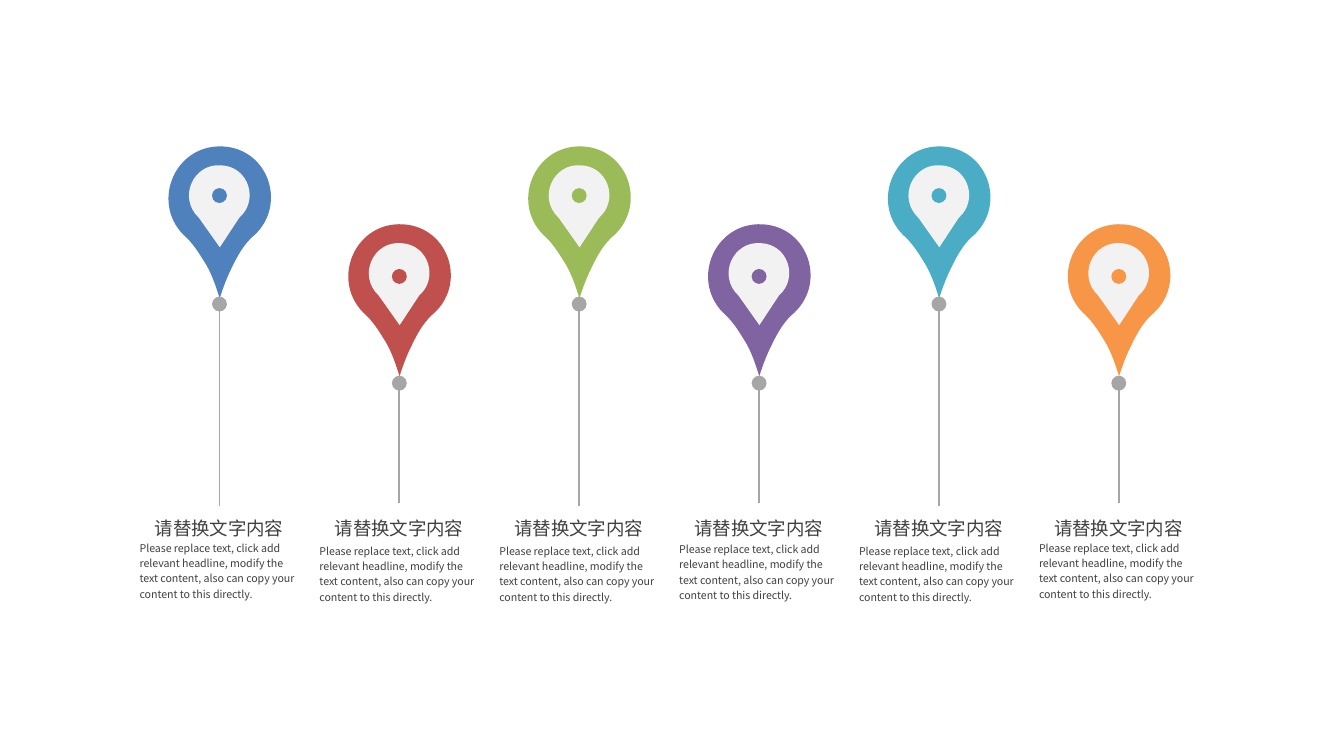
from lxml import etree
from pptx import Presentation
from pptx.dml.color import RGBColor
from pptx.enum.shapes import MSO_CONNECTOR, MSO_SHAPE
from pptx.enum.text import MSO_ANCHOR, MSO_AUTO_SIZE, PP_ALIGN
from pptx.oxml.ns import qn
from pptx.util import Pt

OVAL = MSO_SHAPE.OVAL
STRAIGHT = MSO_CONNECTOR.STRAIGHT
MIDDLE = MSO_ANCHOR.MIDDLE
GROW = MSO_AUTO_SIZE.SHAPE_TO_FIT_TEXT
LEFT, CENTER = PP_ALIGN.LEFT, PP_ALIGN.CENTER

COLORS = {
    "blue": "4F81BD", "red": "C0504D", "green": "9BBB59",
    "purple": "8064A2", "teal": "4BACC6", "orange": "F79646",
    "grey": "A6A6A6", "pale": "F2F2F2", "text": "404040",
}
FONT = "Noto Sans CJK SC"
HEADING = "请替换文字内容"
BODY = ("Please replace text, click add relevant headline, modify the text "
        "content, also can copy your content to this directly.")

COLUMN_LEFT, COLUMN_PITCH, COLUMN_WIDTH = 74.8, 96.36, 85.7
PIN_INSET, PIN_AXIS, DOT_SIZE = 15.2, 27.6, 8
HIGH = {"pin": 78.5, "eye": 100.8, "joint": 158.9, "stem": 162, "end": 271.1}
LOW = {"pin": 120.2, "eye": 144.1, "joint": 201.3, "stem": 208.1, "end": 269.3}
COLUMNS = [
    ("blue", HIGH, 288.7), ("red", LOW, 290.3), ("green", HIGH, 290.3),
    ("purple", LOW, 289.4), ("teal", HIGH, 290.3), ("orange", LOW, 288.7),
]

PIN_BOX = (0, 0, 54.9, 81.4)
PIN_PATH = [
    [(10.1, 49)],
    [(-10.1, 31.7), (2.9, -1.4), (29.5, 0)],
    [(54.7, 1.4), (64.4, 33.1), (44.6, 49)],
    [(40.3, 53.3), (37.4, 58.3), (34.6, 64.1)],
    [(31.7, 69.8), (29.5, 75.6), (27.7, 81.4)],
    [(25.9, 75.6), (23.8, 69.1), (20.5, 63.4)],
    [(17.3, 58.3), (14.4, 53.3), (10.1, 49)],
]
WINDOW_BOX = (11.2, 9.8, 32.6, 44.2)
WINDOW_PATH = [
    [(27, 28.4)],
    [(37.8, 19), (32, 1), (17.6, 0.3)],
    [(2.5, -1.2), (-6.2, 17.6), (5.4, 28.4)],
    [(16.6, 44.2)],
    [(27, 28.4)],
]


def paint(shape, color):
    """Give a shape a flat fill with no outline or shadow."""
    shape.shadow.inherit = False
    shape.fill.solid()
    shape.fill.fore_color.rgb = RGBColor.from_string(COLORS[color])
    shape.line.fill.background()


def add_outline(page, left, top, box, segments, color):
    """Draw a closed outline of lines and cubic curves inside a box."""
    x, y, width, height = box
    right, bottom = Pt(left + x + width), Pt(top + y + height)
    start = Pt(left + x), Pt(top + y)
    builder = page.shapes.build_freeform(*start, scale=1.0)
    builder.add_line_segments([(right, start[1]), (right, bottom),
                               (start[0], bottom)], close=True)
    shape = builder.convert_to_shape()
    outline = shape._element.spPr.find(".//" + qn("a:path"))
    for step in list(outline):
        outline.remove(step)
    for index, points in enumerate(segments):
        tag = "a:cubicBezTo" if len(points) == 3 else "a:lnTo"
        step = etree.SubElement(outline, qn(tag if index else "a:moveTo"))
        for across, down in points:
            etree.SubElement(step, qn("a:pt"), x=str(int(Pt(across))),
                             y=str(int(Pt(down))))
    etree.SubElement(outline, qn("a:close"))
    paint(shape, color)


def add_dot(page, center, top, color):
    """Draw a small round dot centred on a vertical axis."""
    dot = page.shapes.add_shape(OVAL, Pt(center - DOT_SIZE / 2), Pt(top),
                                Pt(DOT_SIZE), Pt(DOT_SIZE))
    paint(dot, color)


def add_stem(page, center, top, bottom):
    """Draw the vertical line from a pin down to its text."""
    stem = page.shapes.add_connector(STRAIGHT, Pt(center), Pt(bottom),
                                     Pt(center), Pt(top))
    stem.line.color.rgb = RGBColor.from_string(COLORS["grey"])
    stem.line.width = Pt(1)
    etree.SubElement(stem._element.spPr, qn("a:effectLst"))


def add_text(page, box, words, size, align, wrap):
    """Place one paragraph in a text box without margins."""
    shape = page.shapes.add_textbox(*[Pt(length) for length in box])
    frame = shape.text_frame
    frame.word_wrap = wrap
    frame.auto_size = GROW
    frame.vertical_anchor = MIDDLE
    frame.margin_left = frame.margin_right = 0
    frame.margin_top = frame.margin_bottom = 0
    para = frame.paragraphs[0]
    para.alignment = align
    para.line_spacing = 1.2
    span = para.add_run()
    span.text = words
    span.font.size = Pt(size)
    span.font.color.rgb = RGBColor.from_string(COLORS["text"])
    span.font.name = FONT
    east_asian = etree.SubElement(span.font._element, qn("a:ea"))
    east_asian.set("typeface", FONT)


def add_pin(page, left, level, color):
    """Draw a map pin with its stem, joint, window and eye."""
    center, top = left + PIN_AXIS, level["pin"]
    add_stem(page, center, level["stem"], level["end"])
    add_outline(page, left, top, PIN_BOX, PIN_PATH, color)
    add_outline(page, left, top, WINDOW_BOX, WINDOW_PATH, "pale")
    add_dot(page, center, level["joint"], "grey")
    add_dot(page, center, level["eye"], color)


def add_column(page, left, color, level, body_top):
    """Place a pin with its heading and description."""
    add_pin(page, left + PIN_INSET, level, color)
    add_text(page, (left + 7.7, 274.6, 69.8, 14.4), HEADING, 9.9, CENTER, False)
    add_text(page, (left, body_top, COLUMN_WIDTH, 33.1), BODY, 5.7, LEFT, True)


def main():
    """Build the slide of six map pins and save it."""
    deck = Presentation()
    deck.slide_width, deck.slide_height = Pt(720), Pt(405)
    page = deck.slides.add_slide(deck.slide_layouts[6])
    for index, (color, level, body_top) in enumerate(COLUMNS):
        left = COLUMN_LEFT + index * COLUMN_PITCH
        add_column(page, left, color, level, body_top)
    deck.save("out.pptx")


if __name__ == "__main__":
    main()
